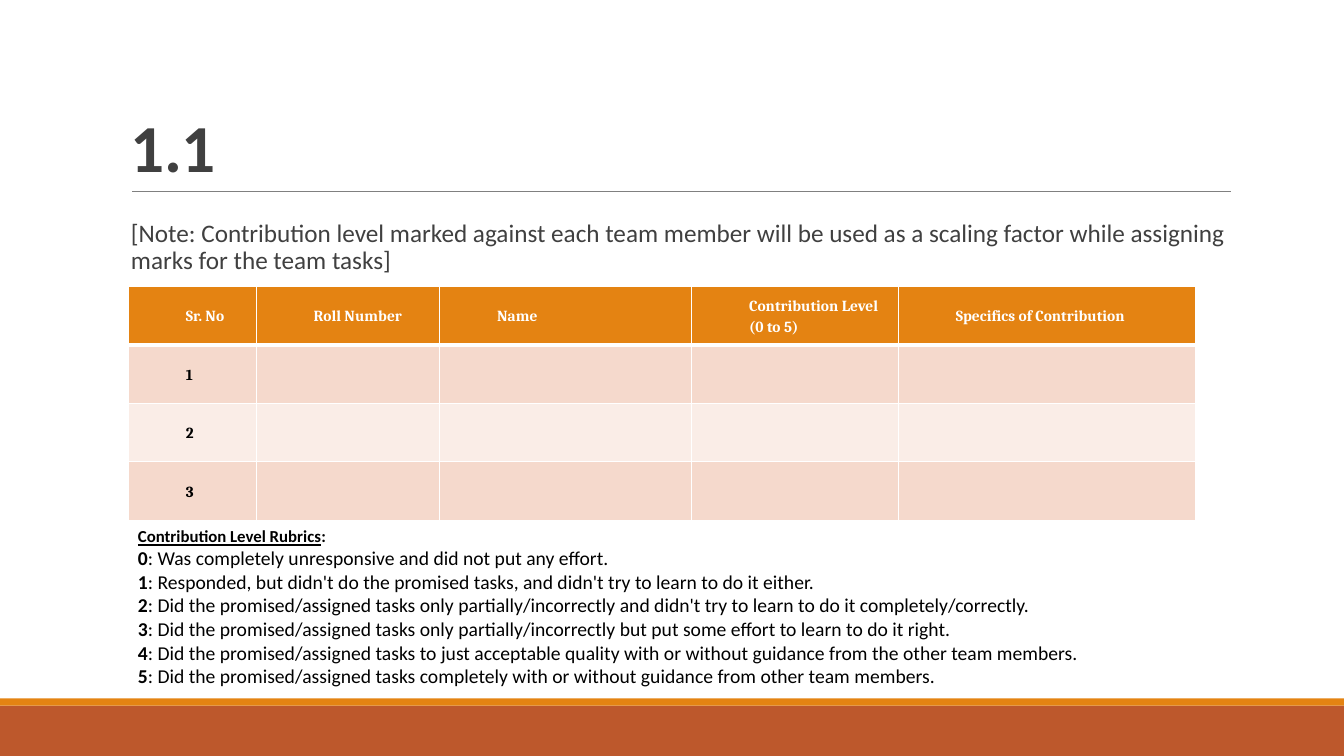
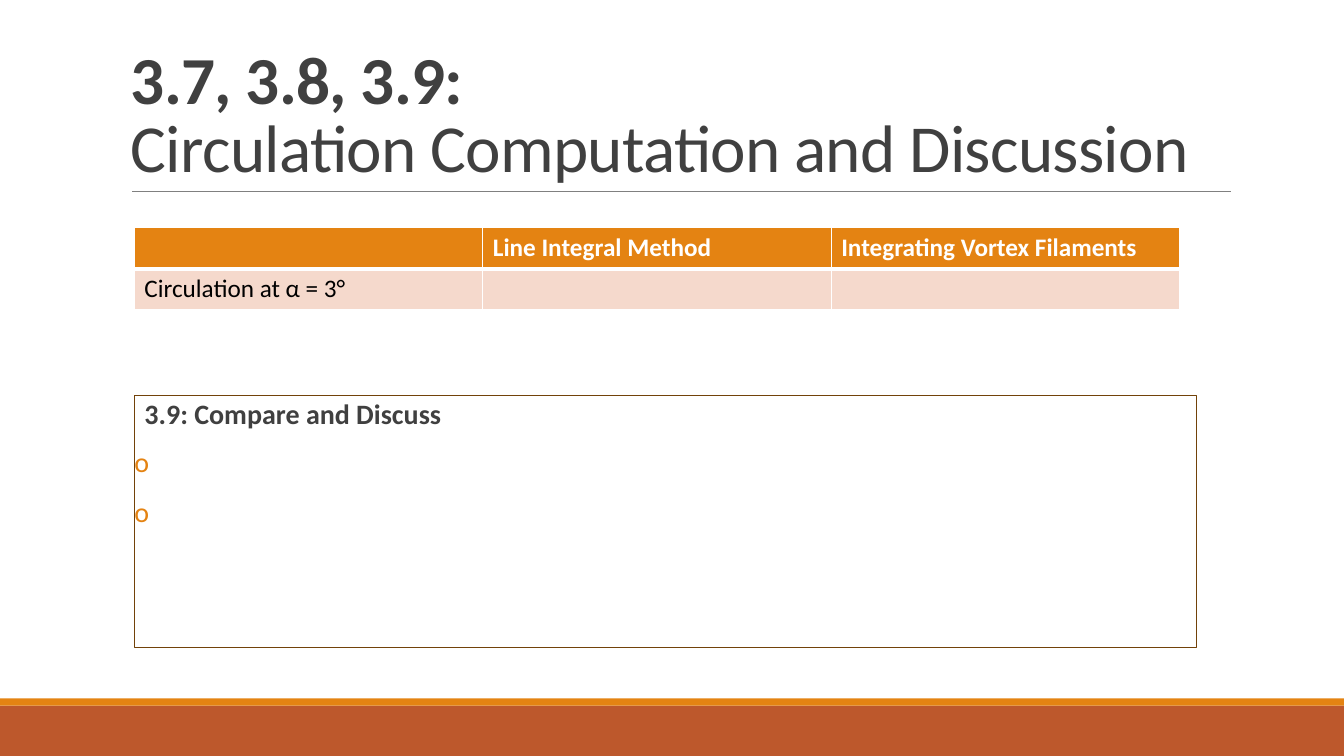
"""Build two team report slides: contribution levels and circulation."""
from dataclasses import dataclass
from typing import Any

from lxml import etree
from pptx import Presentation
from pptx.dml.color import RGBColor
from pptx.enum.shapes import MSO_CONNECTOR, MSO_SHAPE
from pptx.enum.text import MSO_ANCHOR, PP_ALIGN
from pptx.oxml.ns import qn
from pptx.util import Emu, Pt

RECT = MSO_SHAPE.RECTANGLE
LINE = MSO_CONNECTOR.STRAIGHT
TOP, MID, LOW = MSO_ANCHOR.TOP, MSO_ANCHOR.MIDDLE, MSO_ANCHOR.BOTTOM
LEFT = PP_ALIGN.LEFT
COLS, ROWS, UNIT = 40, 22.5, 304800
BLANK = 6


@dataclass(frozen=True)
class Theme:
    rust: str = "BD582C"
    gold: str = "E48312"
    brown: str = "724209"
    rule: str = "808080"
    text: str = "404040"
    black: str = "000000"
    white: str = "FFFFFF"
    bands: tuple[str, str] = ("F5D9CC", "FAEDE7")
    sans: str = "Calibri"
    serif: str = "Cambria"
    title: float = 48
    head: float = 20
    body: float = 18
    list: float = 14
    label: float = 12
    small: float = 11


T = Theme()


@dataclass(frozen=True)
class Box:
    x: float
    y: float
    w: float
    h: float


@dataclass(frozen=True)
class Span:
    text: str
    size: float
    color: str = T.black
    bold: bool = False
    under: bool = False
    font: str = T.sans
    track: int = 0


@dataclass(frozen=True)
class Style:
    lead: float = 1
    before: float = 0
    after: float = 0
    indent: float = 0


@dataclass(frozen=True)
class Para:
    spans: tuple[Span, ...]
    style: Style = Style()
    bullet: str = ""


@dataclass(frozen=True)
class Grid:
    x: float
    y: float
    cols: tuple[float, ...]
    row: float
    size: float
    font: str
    style: Style
    pad: tuple[float, float]
    anchor: Any
    key: bool


HEAD = Style(lead=0.85)
BODY = Style(lead=0.9, before=12, after=2, indent=0.3)
CELL = Style(lead=1.15, indent=1.5)

TEAM = Grid(3.82, 8.52, (3.81, 5.46, 7.5, 6.15, 8.85), 1.74,
            T.small, T.serif, CELL, (0.21, 0), MID, True)
FLOW = Grid(4, 6.78, (10.37,) * 3, 1.22,
            T.body, T.sans, Style(), (0.3, 0.15), TOP, False)

LEVELS = (
    "Was completely unresponsive and did not put any effort.",
    "Responded, but didn't do the promised tasks, and didn't try to learn to do it either.",
    "Did the promised/assigned tasks only partially/incorrectly and didn't try to learn to do it completely/correctly.",
    "Did the promised/assigned tasks only partially/incorrectly but put some effort to learn to do it right.",
    "Did the promised/assigned tasks to just acceptable quality with or without guidance from the other team members.",
    "Did the promised/assigned tasks completely with or without guidance from other team members.",
)
NOTE = ("[Note: Contribution level marked against each team member will be used "
        "as a scaling factor while assigning marks for the team tasks]")


def size(val: float) -> Emu:
    """Turn grid units into a length."""
    return Emu(round(val * UNIT))


def place(box: Box) -> tuple[Emu, Emu, Emu, Emu]:
    """Turn a grid box into slide lengths."""
    return size(box.x), size(box.y), size(box.w), size(box.h)


def tint(fill: Any, color: str) -> None:
    """Give a fill one plain colour."""
    fill.solid()
    fill.fore_color.rgb = RGBColor.from_string(color)


def mark(props: Any, sign: str) -> None:
    """Add a bullet sign to paragraph properties."""
    hue = etree.SubElement(props, qn("a:buClr"))
    etree.SubElement(hue, qn("a:srgbClr"), val=T.gold)
    etree.SubElement(props, qn("a:buFont"), typeface=T.sans)
    etree.SubElement(props, qn("a:buChar"), char=sign)


def write(frame: Any, paras: list[Para]) -> None:
    """Fill a text frame run by run."""
    for i, para in enumerate(paras):
        line = frame.add_paragraph() if i else frame.paragraphs[0]
        style = para.style
        line.alignment = LEFT
        line.line_spacing = style.lead
        line.space_before = Pt(style.before)
        line.space_after = Pt(style.after)
        props = line._p.get_or_add_pPr()
        props.set("marL", str(size(style.indent)))
        props.set("indent", str(-size(style.indent) if para.bullet else 0))
        if para.bullet:
            mark(props, para.bullet)
        for j, span in enumerate(para.spans):
            if j and para.style is HEAD:
                line.add_line_break()
            run = line.add_run()
            run.text = span.text
            font = run.font
            font.name, font.size = span.font, Pt(span.size)
            font.bold, font.underline = span.bold, span.under
            font.color.rgb = RGBColor.from_string(span.color)
            if span.track:
                run._r.get_or_add_rPr().set("spc", str(span.track))


def setup(frame: Any, anchor: Any, side: float) -> None:
    """Set wrapping, anchor and side insets of a frame."""
    frame.word_wrap = True
    frame.vertical_anchor = anchor
    frame.margin_left = frame.margin_right = size(side)


def label(slide: Any, box: Box, paras: list[Para], anchor: Any = TOP, side: float = 0) -> None:
    """Add a text box."""
    frame = slide.shapes.add_textbox(*place(box)).text_frame
    setup(frame, anchor, side)
    write(frame, paras)


def block(slide: Any, box: Box, fill: str = "", edge: str = "") -> Any:
    """Add a flat rectangle."""
    shape = slide.shapes.add_shape(RECT, *place(box))
    shape.shadow.inherit = False
    if fill:
        tint(shape.fill, fill)
    else:
        shape.fill.background()
    if edge:
        tint(shape.line.fill, edge)
        shape.line.width = Pt(0.75)
    else:
        shape.line.fill.background()
    return shape


def border(cell: Any, row: int) -> None:
    """Draw white cell edges, thick under the header."""
    props = cell._tc.get_or_add_tcPr()
    wide = {"T": row == 1, "B": row == 0}
    for side in "LRTB":
        width = Pt(3 if wide.get(side) else 1)
        edge = etree.SubElement(props, qn(f"a:ln{side}"), w=str(width))
        fill = etree.SubElement(edge, qn("a:solidFill"))
        etree.SubElement(fill, qn("a:srgbClr"), val=T.white)


def table(slide: Any, grid: Grid, rows: list[tuple[str, ...]]) -> None:
    """Add a table with a header and banded rows."""
    box = Box(grid.x, grid.y, sum(grid.cols), grid.row * len(rows))
    tab = slide.shapes.add_table(len(rows), len(grid.cols), *place(box)).table
    tab.horz_banding = False
    for col, width in zip(tab.columns, grid.cols):
        col.width = size(width)
    for r, texts in enumerate(rows):
        tab.rows[r].height = size(grid.row)
        for c in range(len(grid.cols)):
            cell = tab.cell(r, c)
            border(cell, r)
            tint(cell.fill, T.bands[(r - 1) % 2] if r else T.gold)
            cell.vertical_anchor = grid.anchor
            cell.margin_left = cell.margin_right = size(grid.pad[0])
            cell.margin_top = cell.margin_bottom = size(grid.pad[1])
            if c < len(texts) and texts[c]:
                span = Span(texts[c], grid.size, T.black if r else T.white,
                            grid.key or not r, font=grid.font)
                write(cell.text_frame, [Para((span,), grid.style)])


def base(deck: Any, *heads: str) -> Any:
    """Add a slide with bands, rule and title."""
    slide = deck.slides.add_slide(deck.slide_layouts[BLANK])
    block(slide, Box(0, 21, COLS, 1.5), T.rust)
    block(slide, Box(0, 20.79, COLS, 0.21), T.gold)
    ends = map(size, (3.93, 5.7, 36.63, 5.7))
    rule = slide.shapes.add_connector(LINE, *ends)
    tint(rule.line.fill, T.rule)
    rule.line.width = Pt(0.5)
    etree.SubElement(rule._element.spPr, qn("a:effectLst"))
    spans = tuple(Span(text, T.title, T.text, not i, track=-50)
                  for i, text in enumerate(heads))
    label(slide, Box(3.6, 0.93, 33, 4.77), [Para(spans, HEAD)], LOW, 0.3)
    return slide


def team(deck: Any) -> None:
    """Draw the contribution slide."""
    slide = base(deck, "1.1")
    note = Para((Span(NOTE, T.body, T.text),), BODY)
    label(slide, Box(3.6, 6.42, 33, 1.8), [note])
    heads = ("Sr. No", "Roll Number", "Name",
             "Contribution Level (0 to 5)", "Specifics of Contribution")
    table(slide, TEAM, [heads, *((str(n),) for n in range(1, 4))])
    lines = [Para((Span("Contribution Level Rubrics", T.label, bold=True, under=True),
                   Span(":", T.label, bold=True)))]
    lines += [Para((Span(str(n), T.list, bold=True), Span(f": {text}", T.list)))
              for n, text in enumerate(LEVELS)]
    label(slide, Box(3.81, 15.51, 31.8, 5.85), lines, side=0.3)


def flow(deck: Any) -> None:
    """Draw the circulation slide."""
    slide = base(deck, "3.7, 3.8, 3.9:", "Circulation Computation and Discussion")
    frame = block(slide, Box(4, 11.76, 31.62, 7.5), edge=T.brown).text_frame
    setup(frame, TOP, 0)
    head = Para((Span("3.9: Compare and Discuss", T.head, T.text, True),), BODY)
    item = Para((Span(" ", T.head, T.text),), BODY, "o")
    write(frame, [head, item, item])
    table(slide, FLOW, [("", "Line Integral Method", "Integrating Vortex Filaments"),
                        ("Circulation at α = 3°",)])


def main() -> None:
    """Build and save the deck."""
    deck = Presentation()
    deck.slide_width, deck.slide_height = size(COLS), size(ROWS)
    team(deck)
    flow(deck)
    deck.save("out.pptx")


if __name__ == "__main__":
    main()
